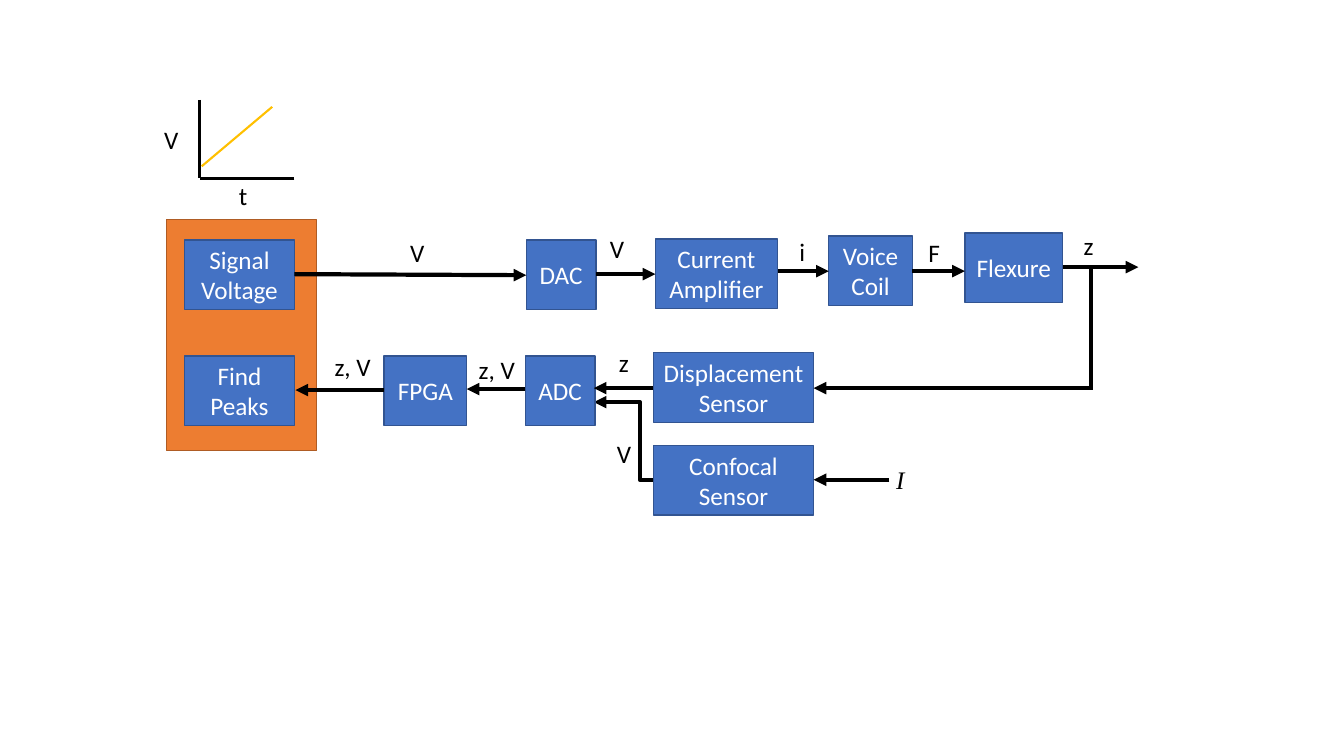
from lxml.etree import SubElement
from pptx import Presentation
from pptx.dml.color import RGBColor
from pptx.enum.shapes import MSO_CONNECTOR, MSO_SHAPE
from pptx.enum.text import MSO_ANCHOR, MSO_AUTO_SIZE, PP_ALIGN
from pptx.oxml.ns import qn
from pptx.util import Emu, Pt

PX = 9144
BOX_H = 69
BLACK, WHITE = "000000", "FFFFFF"
BLUE, NAVY = "4472C4", "325491"
ORANGE, RUST, GOLD = "ED7D31", "AF5C24", "FFC000"

BOXES = [
    ("Signal\nVoltage", 183, 238, 109),
    ("DAC", 522, 238, 69),
    ("Current\nAmplifier", 650, 237, 121),
    ("Voice\nCoil", 822, 234, 83),
    ("Flexure", 957, 231, 97),
    ("Find\nPeaks", 183, 353, 109),
    ("FPGA", 381, 353, 82),
    ("ADC", 521, 353, 69),
    ("Displacement Sensor", 648, 350, 159),
    ("Confocal\nSensor", 648, 442, 159),
]
ARROWS = [
    (292, 272, 522, 273),
    (591, 272, 650, 272),
    (772, 269, 822, 269),
    (905, 269, 957, 269),
    (1054, 265, 1129, 265),
    (1081, 385, 807, 385),
    (648, 385, 589, 385),
    (521, 386, 463, 386),
    (381, 387, 293, 387),
    (882, 476, 807, 476),
]
LABELS = [
    ("V", 153, 118, 35),
    ("t", 227, 174, 29),
    ("V", 397, 231, 35),
    ("V", 595, 227, 35),
    ("i", 783, 230, 26),
    ("F", 911, 231, 32),
    ("z", 1065, 224, 30),
    ("z, V", 322, 344, 57),
    ("z, V", 465, 347, 57),
    ("z", 604, 340, 30),
    ("V", 602, 430, 35),
]


def px(*nums):
    """Turn px lengths into EMU."""
    return [Emu(num * PX) for num in nums]


def color(code):
    """Turn a hex string into a colour."""
    return RGBColor.from_string(code)


def write(frame, text, hue=BLACK, face="Calibri", size=18, slant=None, align=None):
    """Fill a text frame, one paragraph per line of text."""
    frame.text = text
    for para in frame.paragraphs:
        para.alignment = align
        font = para.runs[0].font
        font.name, font.size, font.italic = face, Pt(size), slant
        font.color.rgb = color(hue)


def block(slide, left, top, width, height, fill, edge):
    """Add a filled rectangle with a thin edge."""
    shape = slide.shapes.add_shape(MSO_SHAPE.RECTANGLE, *px(left, top, width, height))
    shape.shadow.inherit = False
    shape.fill.solid()
    shape.fill.fore_color.rgb = color(fill)
    shape.line.color.rgb = color(edge)
    shape.line.width = Pt(1)
    return shape


def stage(slide, text, left, top, width):
    """Add a named stage of the control loop."""
    frame = block(slide, left, top, width, BOX_H, BLUE, NAVY).text_frame
    frame.word_wrap = True
    frame.vertical_anchor = MSO_ANCHOR.MIDDLE
    frame.margin_left, frame.margin_right = px(5, 5)
    write(frame, text, hue=WHITE, align=PP_ALIGN.CENTER)


def label(slide, text, left, top, width, **form):
    """Add a signal name."""
    frame = slide.shapes.add_textbox(*px(left, top, width, 40)).text_frame
    frame.word_wrap = False
    frame.auto_size = MSO_AUTO_SIZE.SHAPE_TO_FIT_TEXT
    write(frame, text, **form)


def wire(slide, ends, hue=BLACK, weight=3, head=False, kind=MSO_CONNECTOR.STRAIGHT):
    """Add a line, with an arrowhead at its end if asked."""
    link = slide.shapes.add_connector(kind, *px(*ends))
    link.line.color.rgb = color(hue)
    link.line.width = Pt(weight)
    props = link.line._get_or_add_ln()
    if head:
        SubElement(props, qn("a:tailEnd"), type="triangle")
    SubElement(props.getparent(), qn("a:effectLst"))


def plot(slide):
    """Draw the small ramp of voltage over time."""
    wire(slide, (198, 99, 198, 177), weight=2.25)
    wire(slide, (292, 177, 198, 177), weight=2.25)
    wire(slide, (200, 165, 270, 106), hue=GOLD, weight=1.5)


def main():
    """Build the control loop slide."""
    deck = Presentation()
    deck.slide_width, deck.slide_height = px(1333, 750)
    slide = deck.slides.add_slide(deck.slide_layouts[6])
    block(slide, 165, 218, 149, 229, ORANGE, RUST)
    plot(slide)
    wire(slide, (680, 476, 589, 399), head=True, kind=MSO_CONNECTOR.ELBOW)
    for box in BOXES:
        stage(slide, *box)
    for ends in ARROWS:
        wire(slide, ends, head=True)
    wire(slide, (1082, 265, 1082, 387))
    for name in LABELS:
        label(slide, *name)
    label(slide, "I", 879, 456, 28, face="Times New Roman", slant=True)
    deck.save("out.pptx")


if __name__ == "__main__":
    main()
